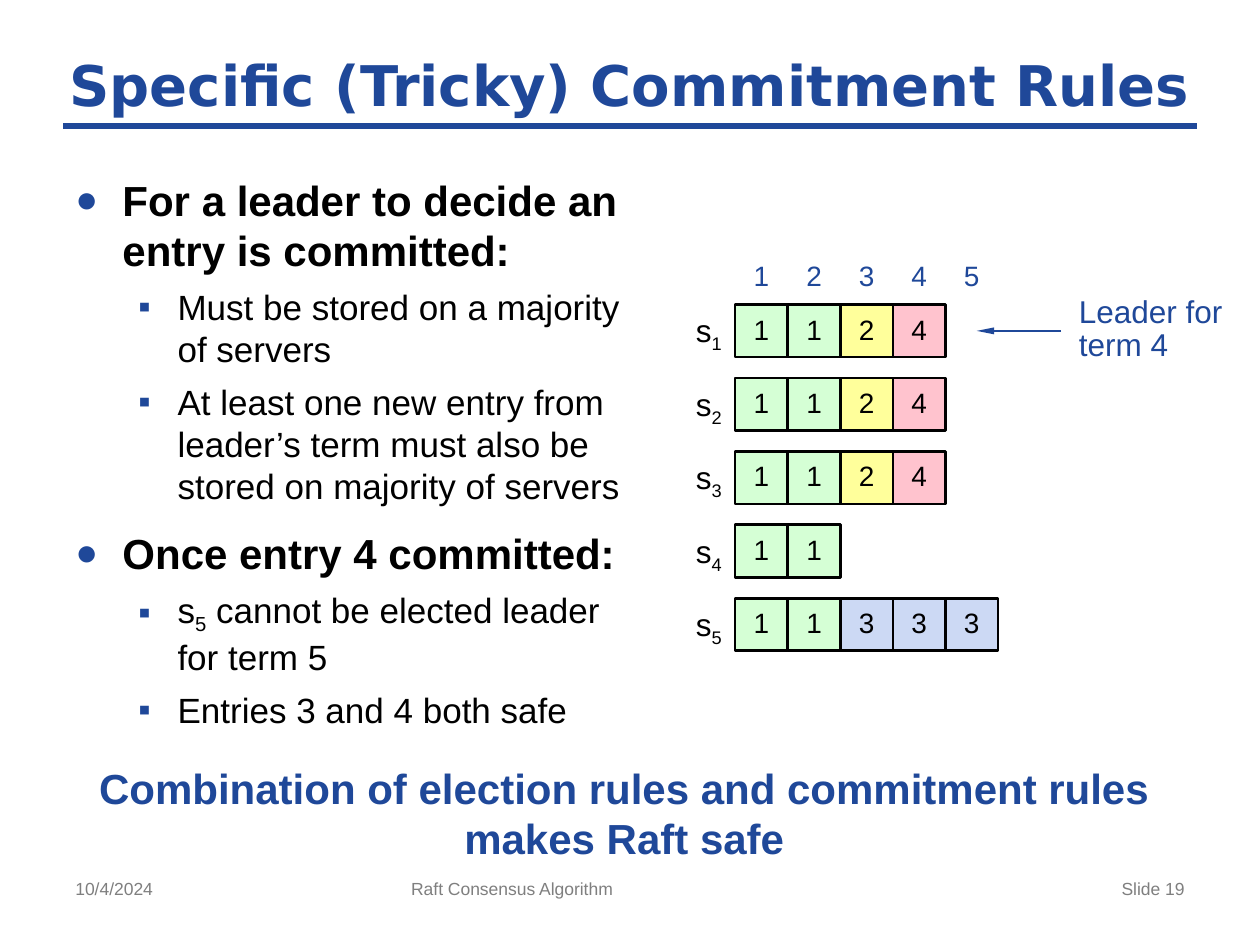
"""Build the slide on Raft commitment rules with its server log diagram."""
from lxml.etree import SubElement
from pptx import Presentation
from pptx.dml.color import RGBColor
from pptx.enum.shapes import MSO_CONNECTOR, MSO_SHAPE
from pptx.enum.text import MSO_ANCHOR, MSO_AUTO_SIZE, PP_ALIGN
from pptx.oxml.ns import qn
from pptx.util import Cm, Pt

BLUE, BLACK, GRAY = "1F4899", "000000", "7F7F7F"
TERM_FILLS = {"1": "D5FFD5", "2": "FFFF9B", "3": "CCD9F4", "4": "FFC3CE"}
LOGS = ["1124", "1124", "1124", "11", "11333"]
LEFT, CENTER, RIGHT = PP_ALIGN.LEFT, PP_ALIGN.CENTER, PP_ALIGN.RIGHT
CELL, ROW_STEP = 1.06, 1.48
LOG_X, LOG_Y = 14.82, 6.14
BULLETS = [
    (0, "For a leader to decide an entry is committed:"),
    (1, "Must be stored on a majority of servers"),
    (1, "At least one new entry from leader’s term must also be stored on majority of servers"),
    (0, "Once entry 4 committed:"),
    (1, "s_5_ cannot be elected leader for term 5"),
    (1, "Entries 3 and 4 both safe"),
]
LEVELS = [
    dict(size=24, bold=True, before=12, left=0.95, hang=0.95, char="●", percent=90),
    dict(size=20, bold=False, before=6, left=2.06, hang=0.79, char="▪", percent=100),
]


def rgb(value):
    return RGBColor.from_string(value)


class SlideBuilder:
    def __init__(self, slide, font="Arial"):
        self.s = slide
        self.font = font

    def style_runs(self, p, size, color, bold=False, align=LEFT, spacing=None, font=None):
        p.alignment = align
        if spacing:
            p.line_spacing = Pt(spacing)
        for r in p.runs:
            r.font.name = font or self.font
            r.font.size = Pt(size)
            r.font.bold = bold
            r.font.color.rgb = rgb(color)

    def set_text(self, p, text):
        if "_" not in text:
            p.text = text
            return
        for i, part in enumerate(text.split("_")):
            if part:
                r = p.add_run()
                r.text = part
                if i % 2:
                    r._r.get_or_add_rPr().set("baseline", "-25000")

    def clear_insets(self, tf):
        tf.margin_left = tf.margin_right = tf.margin_top = tf.margin_bottom = 0

    def title(self, text, x, y, w, h):
        sp = self.s.shapes.title
        sp.left, sp.top, sp.width, sp.height = Cm(x), Cm(y), Cm(w), Cm(h)
        tf = sp.text_frame
        tf.text = text
        tf.auto_size = MSO_AUTO_SIZE.NONE
        tf.vertical_anchor = MSO_ANCHOR.MIDDLE
        self.style_runs(tf.paragraphs[0], 32, BLUE, True, CENTER, font="DejaVu Sans")

    def text(self, text, x, y, w, h, size, color, inset=True, grow=True, wrap=True, **style):
        tf = self.s.shapes.add_textbox(Cm(x), Cm(y), Cm(w), Cm(h)).text_frame
        tf.word_wrap = wrap
        tf.auto_size = MSO_AUTO_SIZE.SHAPE_TO_FIT_TEXT if grow else MSO_AUTO_SIZE.NONE
        if not inset:
            self.clear_insets(tf)
        p = tf.paragraphs[0]
        self.set_text(p, text)
        self.style_runs(p, size, color, **style)

    def bullets(self, items, x, y, w, h):
        tf = self.s.shapes.add_textbox(Cm(x), Cm(y), Cm(w), Cm(h)).text_frame
        tf.word_wrap = True
        for i, (level, text) in enumerate(items):
            look = LEVELS[level]
            p = tf.add_paragraph() if i else tf.paragraphs[0]
            self.set_text(p, text)
            self.style_runs(p, look["size"], BLACK, look["bold"])
            p.level = level
            p.space_before = Pt(look["before"])
            ppr = p._p.get_or_add_pPr()
            ppr.set("marL", str(Cm(look["left"])))
            ppr.set("indent", str(-Cm(look["hang"])))
            SubElement(SubElement(ppr, qn("a:buClr")), qn("a:srgbClr"), val=BLUE)
            SubElement(ppr, qn("a:buSzPct"), val=str(look["percent"] * 1000))
            SubElement(ppr, qn("a:buFont"), typeface=self.font)
            SubElement(ppr, qn("a:buChar"), char=look["char"])

    def cell(self, term, x, y):
        sp = self.s.shapes.add_shape(MSO_SHAPE.RECTANGLE, Cm(x), Cm(y), Cm(CELL), Cm(CELL))
        sp.shadow.inherit = False
        sp.fill.solid()
        sp.fill.fore_color.rgb = rgb(TERM_FILLS[term])
        sp.line.color.rgb = rgb(BLACK)
        sp.line.width = Pt(1.5)
        tf = sp.text_frame
        self.clear_insets(tf)
        tf.vertical_anchor = MSO_ANCHOR.MIDDLE
        tf.text = term
        self.style_runs(tf.paragraphs[0], 16, BLACK, align=CENTER, spacing=17)

    def line(self, x1, x2, y, width, arrow=False):
        cxn = self.s.shapes.add_connector(MSO_CONNECTOR.STRAIGHT, Cm(x1), Cm(y), Cm(x2), Cm(y))
        cxn.line.color.rgb = rgb(BLUE)
        cxn.line.width = Pt(width)
        props = cxn._element.spPr
        if arrow:
            SubElement(props.find(qn("a:ln")), qn("a:tailEnd"), type="triangle", w="sm", len="lg")
        SubElement(props, qn("a:effectLst"))


def main():
    prs = Presentation()
    prs.slide_width, prs.slide_height = Cm(25.4), Cm(19.05)
    b = SlideBuilder(prs.slides.add_slide(prs.slide_layouts[5]))

    b.line(1.27, 24.13, 2.54, 4)
    b.title("Specific (Tricky) Commitment Rules", 0.85, 0.85, 23.7, 1.69)
    b.bullets(BULLETS, 1.27, 3.39, 11.85, 11.85)

    for col in range(max(map(len, LOGS))):
        b.text(str(col + 1), LOG_X + col * CELL, 5.08, CELL, 0.94, 16, BLUE, align=CENTER)
    for row, log in enumerate(LOGS):
        y = LOG_Y + row * ROW_STEP
        b.text(f"s_{row + 1}_", LOG_X - CELL, y + 0.14, CELL, 0.77, 18, BLACK,
               inset=False, align=CENTER)
        for col, term in enumerate(log):
            b.cell(term, LOG_X + col * CELL, y)

    b.line(21.39, 19.69, 6.67, 1.5, arrow=True)
    b.text("Leader for\nterm 4", 21.75, 5.97, 3.6, 1.34, 18, BLUE, inset=False, spacing=19)
    b.text("Combination of election rules and commitment rules\nmakes Raft safe",
           1.65, 15.24, 21.87, 2.31, 24, BLUE, wrap=False, bold=True, align=CENTER)

    for text, x, w, align in [
        ("10/4/2024", 1.27, 5.93, LEFT),
        ("Raft Consensus Algorithm", 8.04, 9.53, LEFT),
        ("Slide 19", 18.2, 5.93, RIGHT),
    ]:
        b.text(text, x, 17.57, w, 1.09, 10, GRAY, grow=False, align=align)

    prs.save("out.pptx")


if __name__ == "__main__":
    main()
